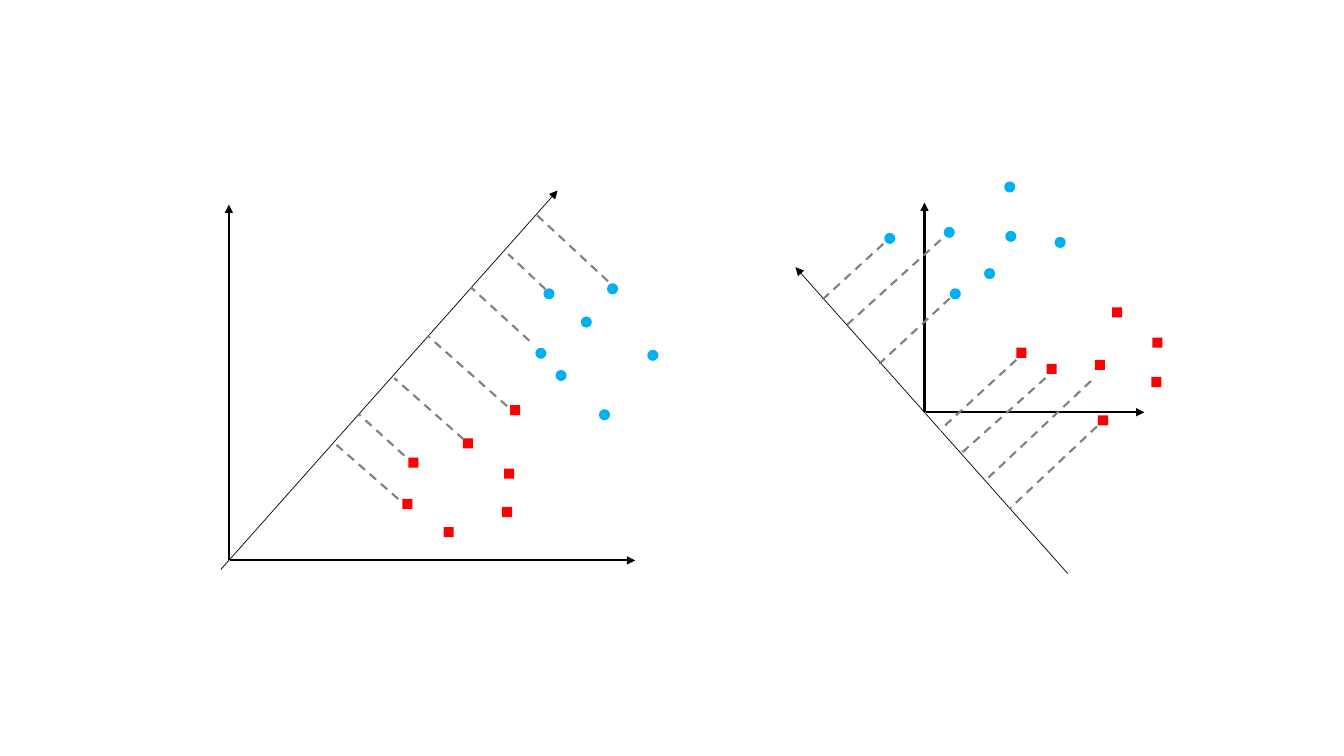
from lxml import etree
from pptx import Presentation
from pptx import util as u
from pptx.dml.color import RGBColor
from pptx.enum import dml, shapes
from pptx.oxml.ns import qn

BLACK, GREY, RED, BLUE = "000000", "808080", "FF0000", "00B0F0"
SQUARE = (shapes.MSO_SHAPE.RECTANGLE, 0.1, RED)
DOT = (shapes.MSO_SHAPE.OVAL, 0.11, BLUE)

PLOTS = [
    {
        "axes": [((2.27, 5.56), (2.27, 2.03)), ((2.28, 5.56), (6.3, 5.56))],
        "squares": [(3.99, 4.95), (4.05, 4.54), (4.59, 4.35), (4.4, 5.23),
                    (5, 4.65), (4.98, 5.03), (5.06, 4.02)],
        "dots": [(5.39, 2.86), (6.02, 2.81), (5.31, 3.45), (5.76, 3.14),
                 (6.42, 3.47), (5.51, 3.67), (5.94, 4.06)],
        "direction": ((2.19, 5.65), (5.53, 1.89)),
        "projections": [((3.95, 4.95), (3.31, 4.39)), ((4.01, 4.52), (3.56, 4.11)),
                        ((4.6, 4.36), (3.91, 3.75)), ((5.03, 4.03), (4.24, 3.33)),
                        ((5.25, 3.38), (4.67, 2.85)), ((5.41, 2.87), (5.04, 2.52)),
                        ((6.03, 2.79), (5.32, 2.13))],
    },
    {
        "axes": [((9.17, 4.09), (9.17, 2.01)), ((9.18, 4.09), (11.35, 4.09))],
        "squares": [(10.38, 3.61), (10.08, 3.45), (11.03, 3.05), (10.89, 4.12),
                    (11.43, 3.35), (11.42, 3.74), (10.86, 3.57)],
        "dots": [(9.42, 2.86), (9.76, 2.66), (9.36, 2.25), (9.97, 2.29),
                 (9.96, 1.8), (8.77, 2.31), (10.46, 2.35)],
        "direction": ((10.59, 5.69), (7.89, 2.65)),
        "projections": [((10.88, 4.23), (10.01, 5.05)), ((10.37, 3.75), (9.53, 4.5)),
                        ((10.08, 3.57), (9.32, 4.27)), ((10.82, 3.78), (9.77, 4.77)),
                        ((9.33, 2.38), (8.37, 3.25)), ((8.76, 2.42), (8.16, 2.97)),
                        ((9.42, 2.96), (8.72, 3.61))],
    },
]


def rgb(value):
    """Turn a hex string into a colour."""
    return RGBColor.from_string(value)


def add_line(s, ends, color=BLACK, width=1.5, arrow=True):
    """Draw a solid arrow, or a dashed line when arrow is False."""
    start, end = ends
    cx = s.shapes.add_connector(shapes.MSO_CONNECTOR.STRAIGHT,
                                *(u.Inches(v) for v in start + end))
    cx.line.color.rgb = rgb(color)
    cx.line.width = u.Pt(width)
    if arrow:
        etree.SubElement(cx.line._get_or_add_ln(), qn("a:tailEnd"), type="triangle")
    else:
        cx.line.dash_style = dml.MSO_LINE.DASH
    etree.SubElement(cx._element.spPr, qn("a:effectLst"))


def add_markers(s, points, kind):
    """Draw one marker of the given kind at each point."""
    preset, size, color = kind
    for x, y in points:
        sp = s.shapes.add_shape(preset, *(u.Inches(v) for v in (x, y, size, size)))
        sp.shadow.inherit = False
        sp.fill.solid()
        sp.fill.fore_color.rgb = rgb(color)
        sp.line.fill.background()


def main():
    """Build the slide with both projections."""
    prs = Presentation()
    prs.slide_width, prs.slide_height = u.Inches(13.33), u.Inches(7.5)
    s = prs.slides.add_slide(prs.slide_layouts[6])
    for plot in PLOTS:
        for axis in plot["axes"]:
            add_line(s, axis)
        add_markers(s, plot["squares"], SQUARE)
        add_markers(s, plot["dots"], DOT)
        add_line(s, plot["direction"], width=0.5)
        for projection in plot["projections"]:
            add_line(s, projection, color=GREY, arrow=False)
    prs.save("out.pptx")


if __name__ == "__main__":
    main()
